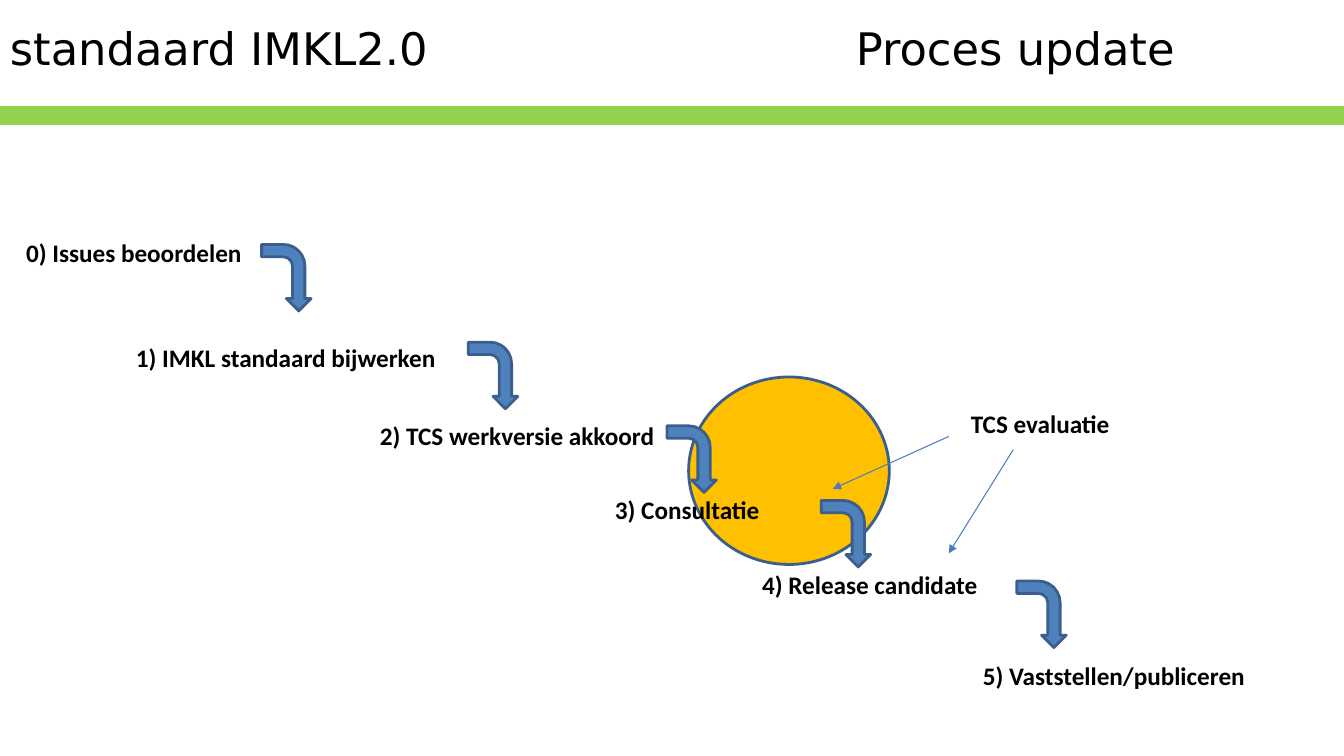
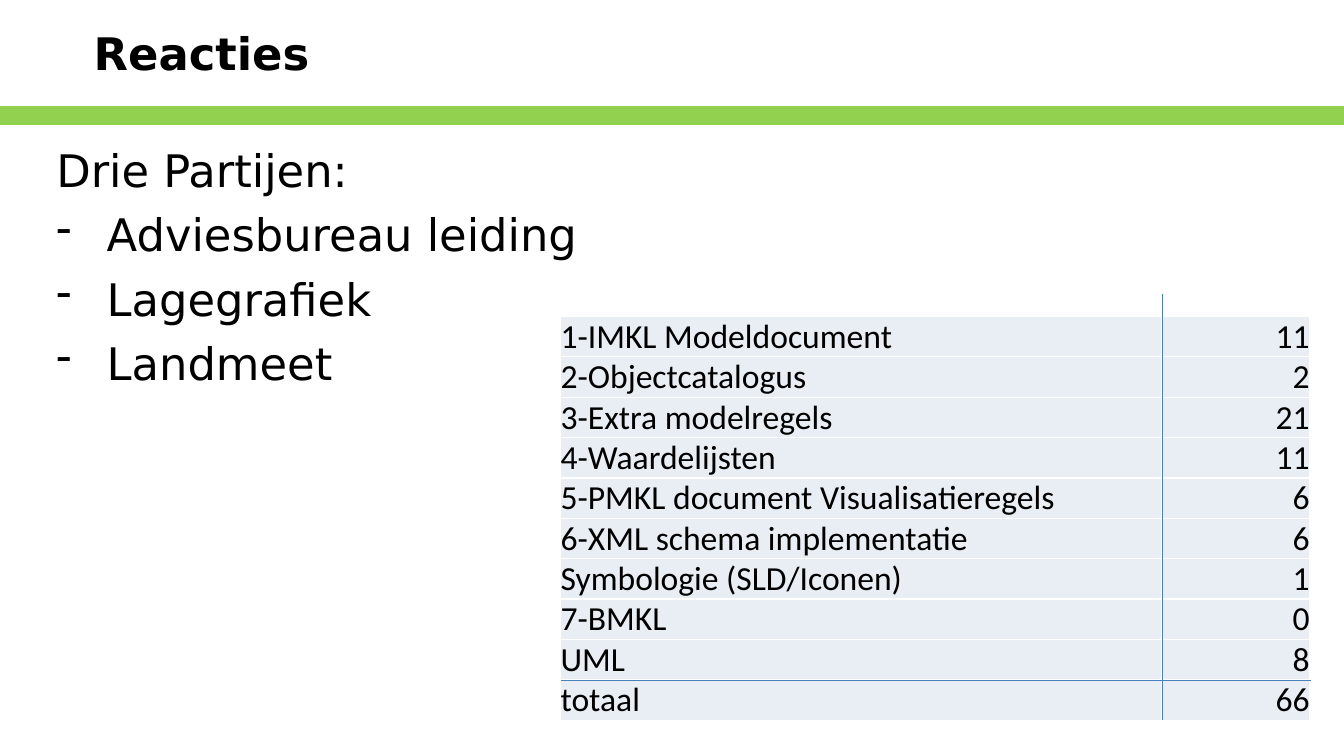
from dataclasses import dataclass

from lxml import etree
from pptx import Presentation
from pptx import util as u
from pptx.dml.color import RGBColor
from pptx.enum import shapes, text
from pptx.oxml import ns

GREEN = RGBColor(0x92, 0xD0, 0x50)
GOLD = RGBColor(0xFF, 0xC0, 0x00)
BLUE = RGBColor(0x4F, 0x81, 0xBD)
EDGE = RGBColor(0x3A, 0x5F, 0x8C)
WIRE = RGBColor(0x4B, 0x7E, 0xBC)
PALE = RGBColor(0xE9, 0xED, 0xF4)
BLACK = RGBColor(0, 0, 0)
HEAD = "DejaVu Sans"
BODY = "Calibri"
WIDE = 13.33
LEFT = text.PP_ALIGN.LEFT
RIGHT = text.PP_ALIGN.RIGHT
TOP = text.MSO_ANCHOR.TOP
LOW = text.MSO_ANCHOR.BOTTOM


@dataclass
class Box:
    left: float
    top: float
    width: float
    height: float

    def frame(self) -> tuple:
        return tuple(map(u.Inches, (self.left, self.top, self.width, self.height)))


@dataclass
class Label:
    words: str
    left: float
    top: float
    width: float


@dataclass
class Line:
    start: tuple[float, float]
    end: tuple[float, float]
    arrow: bool = False


LABELS = [
    Label("0) Issues beoordelen", 0.16, 2.31, 2.35),
    Label("1) IMKL standaard bijwerken", 1.25, 3.35, 3.2),
    Label("2) TCS werkversie akkoord", 3.67, 4.12, 2.94),
    Label("3) Consultatie", 6, 4.85, 1.65),
    Label("4) Release candidate", 7.46, 5.6, 2.35),
    Label("5) Vaststellen/publiceren", 9.65, 6.5, 2.82),
    Label("TCS evaluatie", 9.53, 4, 1.59),
]
BENDS = [(2.51, 2.51), (4.56, 3.48), (6.53, 4.31), (8.06, 5.05), (10, 5.85)]
POINTERS = [
    Line((9.41, 4.33), (8.26, 4.85), True),
    Line((10.05, 4.46), (9.41, 5.49), True),
]
RULES = [Line((5.56, 6.75), (13, 6.75)), Line((11.53, 2.92), (11.53, 7.14))]
PARTIES = ["Adviesbureau leiding", "Lagegrafiek", "Landmeet"]
COUNTS = [
    ("1-IMKL Modeldocument", 11),
    ("2-Objectcatalogus", 2),
    ("3-Extra modelregels", 21),
    ("4-Waardelijsten", 11),
    ("5-PMKL document Visualisatieregels", 6),
    ("6-XML schema implementatie", 6),
    ("Symbologie (SLD/Iconen)", 1),
    ("7-BMKL", 0),
    ("UML", 8),
    ("totaal", 66),
]


def write(para, words: str, *, size: float = 32, font: str = HEAD,
          bold: bool = False, align=LEFT, before: float = 0,
          bullet: str = "") -> None:
    run = para.add_run()
    run.text = words
    run.font.size = u.Pt(size)
    run.font.name = font
    run.font.bold = bold
    run.font.color.rgb = BLACK
    para.alignment = align
    if before:
        para.space_before = u.Pt(before)
    if bullet:
        props = para._p.get_or_add_pPr()
        props.set("marL", str(u.Inches(0.5)))
        props.set("indent", str(u.Inches(-0.5)))
        etree.SubElement(props, ns.qn("a:buChar"), char=bullet)


def add_text(slide, box: Box, words: str, *, wrap: bool = True,
             anchor=TOP, **style):
    frame = slide.shapes.add_textbox(*box.frame()).text_frame
    frame.word_wrap = wrap
    frame.vertical_anchor = anchor
    write(frame.paragraphs[0], words, **style)
    return frame


def add_shape(slide, kind, box: Box, fill: RGBColor, edge: RGBColor,
              turn: float = 0) -> None:
    shape = slide.shapes.add_shape(kind, *box.frame())
    shape.shadow.inherit = False
    shape.fill.solid()
    shape.fill.fore_color.rgb = fill
    shape.line.color.rgb = edge
    shape.line.width = u.Pt(2)
    shape.rotation = turn


def add_line(slide, line: Line) -> None:
    ends = map(u.Inches, (*line.start, *line.end))
    wire = slide.shapes.add_connector(shapes.MSO_CONNECTOR.STRAIGHT, *ends)
    wire.line.color.rgb = WIRE
    wire.line.width = u.Pt(0.75)
    if line.arrow:
        etree.SubElement(wire.line._get_or_add_ln(), ns.qn("a:tailEnd"), type="triangle")
    etree.SubElement(wire._element.spPr, ns.qn("a:effectLst"))


def add_slide(deck):
    slide = deck.slides.add_slide(deck.slide_layouts[6])
    add_shape(slide, shapes.MSO_SHAPE.RECTANGLE, Box(0, 1.07, WIDE, 0.16), GREEN, GREEN)
    return slide


def add_table(slide, box: Box, widths: tuple[float, float]) -> None:
    table = slide.shapes.add_table(len(COUNTS), len(widths), *box.frame()).table
    table.first_row = False
    table.horz_banding = False
    for col, width in zip(table.columns, widths):
        col.width = u.Inches(width)
    for row, pair in enumerate(COUNTS):
        for col, value in enumerate(pair):
            cell = table.cell(row, col)
            cell.fill.solid()
            cell.fill.fore_color.rgb = PALE
            cell.margin_left = cell.margin_right = 0
            cell.margin_top = cell.margin_bottom = 0
            cell.vertical_anchor = LOW if col or row < 3 else TOP
            write(cell.text_frame.paragraphs[0], str(value), size=24,
                  font=BODY, align=RIGHT if col else LEFT)


def draw_steps(deck) -> None:
    slide = add_slide(deck)
    add_shape(slide, shapes.MSO_SHAPE.OVAL, Box(6.83, 3.74, 1.99, 1.86), GOLD, EDGE)
    add_text(slide, Box(0, 0.16, 6, 0.7), "standaard IMKL2.0", before=7.4)
    add_text(slide, Box(8.39, 0.16, 4.94, 0.7), "Proces update", before=7.4)
    for label in LABELS:
        add_text(slide, Box(label.left, label.top, label.width, 0.4),
                 label.words, wrap=False, size=18, font=BODY, bold=True)
    for left, top in BENDS:
        add_shape(slide, shapes.MSO_SHAPE.BENT_ARROW, Box(left, top, 0.66, 0.49),
                  BLUE, EDGE, 90)
    for line in POINTERS:
        add_line(slide, line)


def draw_counts(deck) -> None:
    slide = add_slide(deck)
    add_text(slide, Box(0.46, -0.1, 3.08, 1.25), "Reacties", bold=True,
             anchor=text.MSO_ANCHOR.MIDDLE, align=text.PP_ALIGN.CENTER)
    frame = add_text(slide, Box(0.46, 1.37, 5.68, 2.8), "Drie Partijen:", before=7.4)
    for party in PARTIES:
        write(frame.add_paragraph(), party, before=7.4, bullet="-")
    add_table(slide, Box(5.56, 3.14, 7.43, 4), (5.96, 1.47))
    for line in RULES:
        add_line(slide, line)


def main() -> None:
    deck = Presentation()
    deck.slide_width = u.Inches(WIDE)
    deck.slide_height = u.Inches(7.5)
    draw_steps(deck)
    draw_counts(deck)
    deck.save("out.pptx")


if __name__ == "__main__":
    main()
